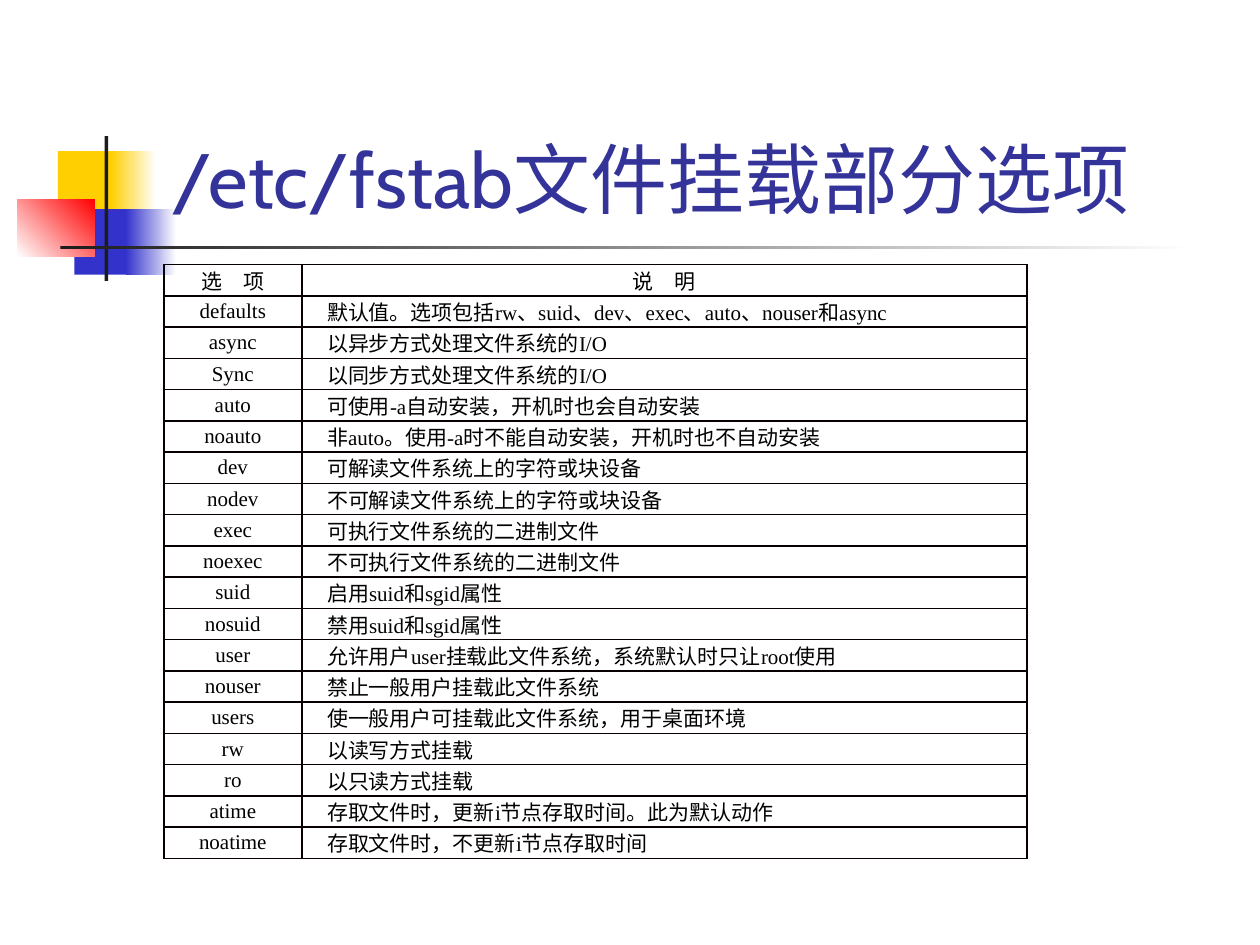
from lxml import etree
from pptx import Presentation
from pptx.dml.color import RGBColor
from pptx.enum.shapes import MSO_SHAPE
from pptx.enum.text import MSO_ANCHOR, PP_ALIGN
from pptx.oxml.ns import qn
from pptx.util import Inches, Pt

RECTANGLE = MSO_SHAPE.RECTANGLE
MIDDLE = MSO_ANCHOR.MIDDLE
BOTTOM = MSO_ANCHOR.BOTTOM
CENTER = PP_ALIGN.CENTER
LEFT = PP_ALIGN.LEFT

SLIDE_WIDTH = Inches(10)
SLIDE_HEIGHT = Inches(7.5)
BLANK_LAYOUT = 6
BORDER_COLOR = "080000"
BORDER_WIDTH = Pt(1)
OPTION_SHARE = 0.16

DECORATIONS = [
    ((4.6, 16, 4.8, 6.93), ["FFCF01"], 0),
    ((8.8, 16, 3.6, 6.93), ["FFCF01", "FFFFFF"], 0),
    ((5.9, 22.13, 4.6, 6.93), ["3333CC"], 0),
    ((10, 22.13, 4, 6.93), ["3333CC", "FFFFFF"], 0),
    ((1.4, 21.07, 6.1, 6.13), ["FFFFFF", "FF0000"], 45),
    ((8.3, 14.4, 0.3, 15.33), ["1C1C1C"], 0),
    ((4.8, 26, 90, 0.4), ["1C1C1C", "FFFFFF"], 0),
]

MOUNT_OPTIONS = [
    ("选　项", "说　明"),
    ("defaults", "默认值。选项包括rw、suid、dev、exec、auto、nouser和async"),
    ("async", "以异步方式处理文件系统的I/O"),
    ("Sync", "以同步方式处理文件系统的I/O"),
    ("auto", "可使用-a自动安装，开机时也会自动安装"),
    ("noauto", "非auto。使用-a时不能自动安装，开机时也不自动安装"),
    ("dev", "可解读文件系统上的字符或块设备"),
    ("nodev", "不可解读文件系统上的字符或块设备"),
    ("exec", "可执行文件系统的二进制文件"),
    ("noexec", "不可执行文件系统的二进制文件"),
    ("suid", "启用suid和sgid属性"),
    ("nosuid", "禁用suid和sgid属性"),
    ("user", "允许用户user挂载此文件系统，系统默认时只让root使用"),
    ("nouser", "禁止一般用户挂载此文件系统"),
    ("users", "使一般用户可挂载此文件系统，用于桌面环境"),
    ("rw", "以读写方式挂载"),
    ("ro", "以只读方式挂载"),
    ("atime", "存取文件时，更新i节点存取时间。此为默认动作"),
    ("noatime", "存取文件时，不更新i节点存取时间"),
]


def color(value):
    """Turn a hex string into a colour."""
    return RGBColor.from_string(value)


def place(left, top, width, height):
    """Turn percentages of the slide's size into lengths."""
    return (
        round(SLIDE_WIDTH * left / 100),
        round(SLIDE_HEIGHT * top / 100),
        round(SLIDE_WIDTH * width / 100),
        round(SLIDE_HEIGHT * height / 100),
    )


def style_font(paragraph, name, size, value):
    """Set the font of a whole paragraph."""
    paragraph.font.name = name
    paragraph.font.size = Pt(size)
    paragraph.font.color.rgb = color(value)


def add_block(slide, box, colors, angle):
    """Add a rectangle with a solid fill or a two-colour gradient."""
    shape = slide.shapes.add_shape(RECTANGLE, *place(*box))
    shape.shadow.inherit = False
    shape.line.fill.background()
    if len(colors) == 1:
        shape.fill.solid()
        shape.fill.fore_color.rgb = color(colors[0])
        return
    shape.fill.gradient()
    shape.fill.gradient_angle = angle
    for stop, value in zip(shape.fill.gradient_stops, colors):
        stop.color.rgb = color(value)


def add_title(slide, text, box):
    """Add the slide's heading, standing on the bottom of its box."""
    frame = slide.shapes.add_textbox(*place(*box)).text_frame
    frame.word_wrap = True
    frame.vertical_anchor = BOTTOM
    paragraph = frame.paragraphs[0]
    paragraph.text = text
    style_font(paragraph, "Cabin", 44, "333399")


def add_borders(cell):
    """Draw a thin line on all four sides of a cell."""
    properties = cell._tc.get_or_add_tcPr()
    for side in ("a:lnL", "a:lnR", "a:lnT", "a:lnB"):
        line = etree.SubElement(properties, qn(side), w=str(BORDER_WIDTH))
        fill = etree.SubElement(line, qn("a:solidFill"))
        etree.SubElement(fill, qn("a:srgbClr"), val=BORDER_COLOR)


def fill_cell(cell, text, centered):
    """Write and style one table cell."""
    add_borders(cell)
    cell.fill.background()
    cell.vertical_anchor = MIDDLE
    cell.margin_left = cell.margin_right = 0
    cell.margin_top = cell.margin_bottom = 0
    paragraph = cell.text_frame.paragraphs[0]
    paragraph.text = text
    paragraph.alignment = CENTER if centered else LEFT
    style_font(paragraph, "Times New Roman", 12, "000000")
    if not centered:
        paragraph._p.get_or_add_pPr().set("indent", str(Inches(0.2)))


def add_option_table(slide, rows, box):
    """Add the table of mount options with equal row heights."""
    left, top, width, height = place(*box)
    table = slide.shapes.add_table(len(rows), 2, left, top, width, height).table
    table.first_row = False
    table.horz_banding = False
    option_width = round(width * OPTION_SHARE)
    table.columns[0].width = option_width
    table.columns[1].width = width - option_width
    for row_index, texts in enumerate(rows):
        table.rows[row_index].height = height // len(rows)
        for column_index, text in enumerate(texts):
            centered = row_index == 0 or column_index == 0
            fill_cell(table.cell(row_index, column_index), text, centered)


def main():
    """Build and save the slide."""
    presentation = Presentation()
    presentation.slide_width = SLIDE_WIDTH
    presentation.slide_height = SLIDE_HEIGHT
    slide = presentation.slides.add_slide(presentation.slide_layouts[BLANK_LAYOUT])
    for box, colors, angle in DECORATIONS:
        add_block(slide, box, colors, angle)
    add_title(slide, "/etc/fstab文件挂载部分选项", (12.6, 3.07, 85.2, 21.33))
    add_option_table(slide, MOUNT_OPTIONS, (13, 28, 68.5, 62.93))
    presentation.save("out.pptx")


if __name__ == "__main__":
    main()
